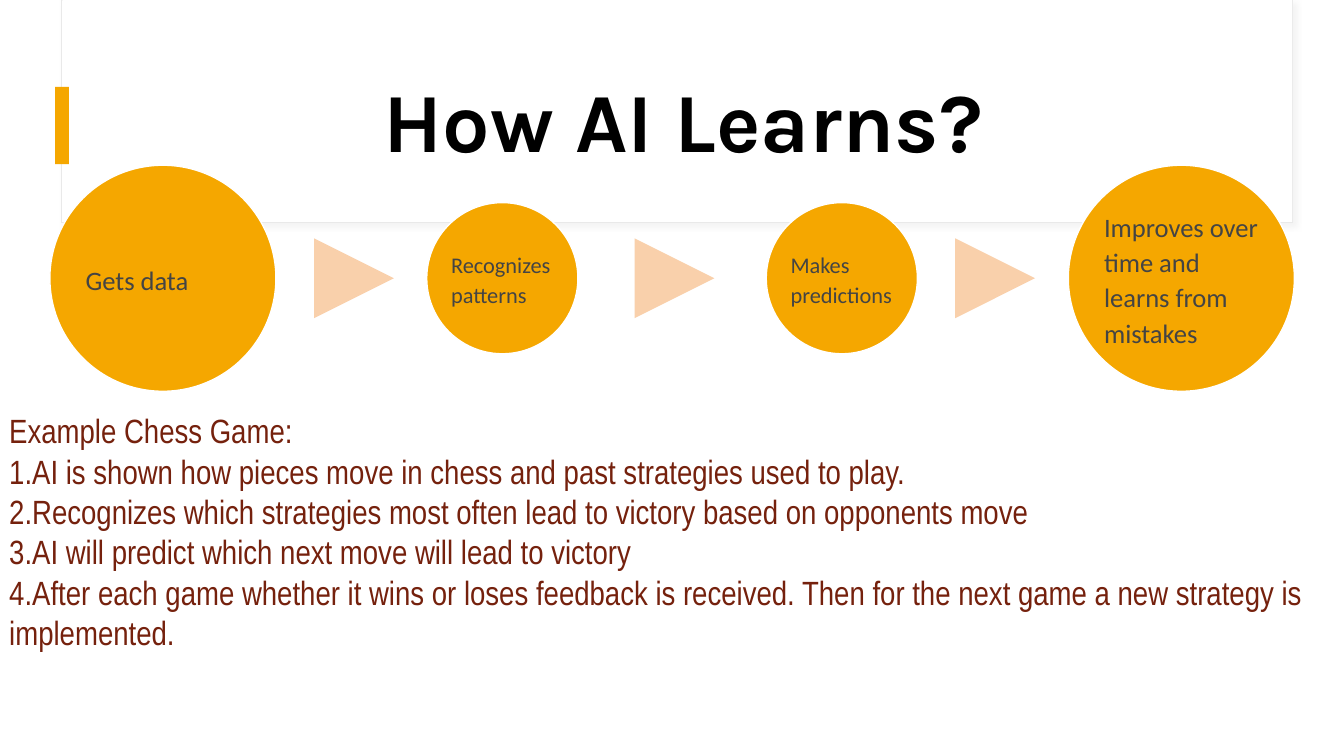
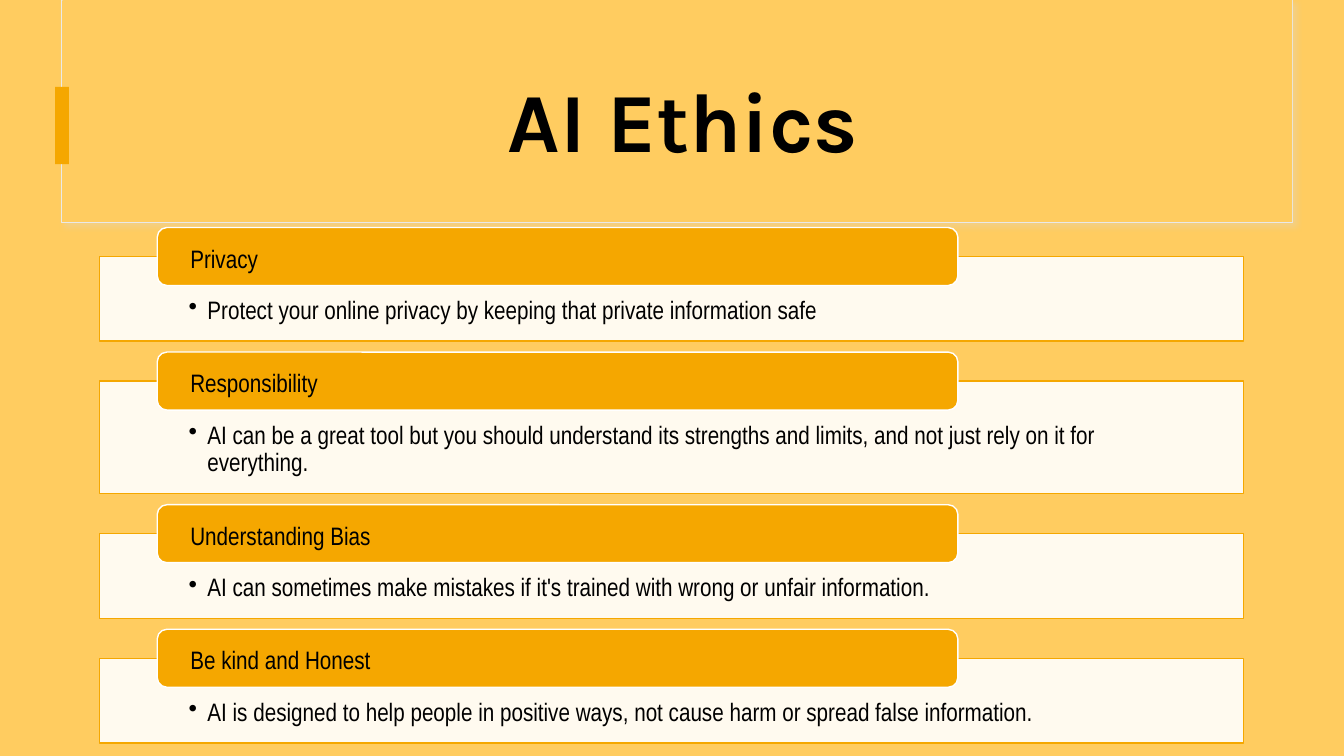
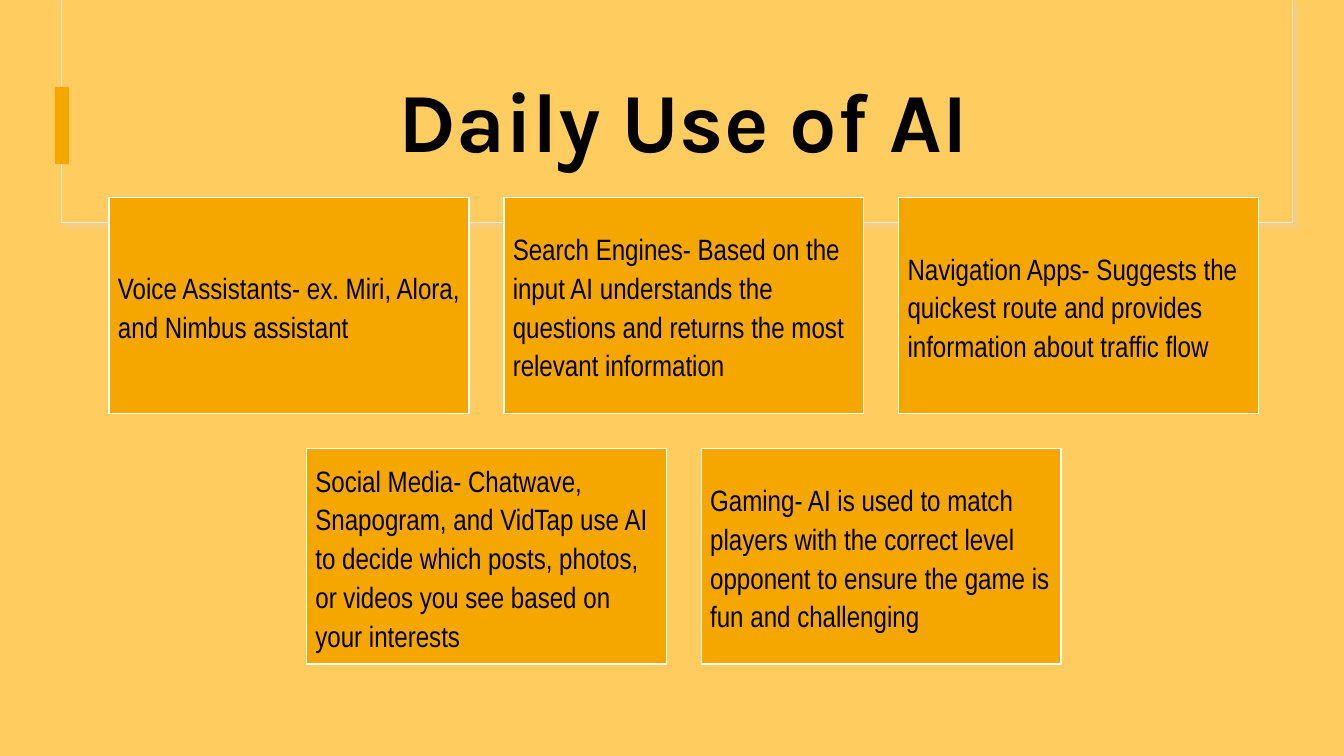
from lxml.etree import SubElement
from pptx import Presentation
from pptx.dml.color import RGBColor
from pptx.enum.shapes import MSO_SHAPE
from pptx.enum.text import MSO_ANCHOR, PP_ALIGN
from pptx.oxml.ns import qn
from pptx.util import Pt

COLORS = {
    "white": "FFFFFF",
    "sand": "FFCC60",
    "amber": "F5A700",
    "peach": "F9D0AB",
    "frame": "E9E9E9",
    "shadow": "D9D9D9",
    "black": "000000",
    "gray": "444444",
    "brown": "75210D",
}
TITLE_FONT, BODY_FONT, CIRCLE_FONT = "Karla", "Arial Narrow", "Calibri"

LEARNING_STEPS = [
    ("Gets data", 161.5, 19),
    ("Recognizes patterns", 108, 16),
    ("Makes predictions", 108, 16),
    ("Improves over time and learns from mistakes", 161.5, 19),
]
CHESS_LINES = [
    "Example Chess Game:",
    "1.AI is shown how pieces move in chess and past strategies used to play.",
    "2.Recognizes which strategies most often lead to victory based on opponents move",
    "3.AI will predict which next move will lead to victory",
    "4.After each game whether it wins or loses feedback is received. "
    "Then for the next game a new strategy is implemented.",
]
ETHICS = [
    ("Privacy", 60.4,
     "Protect your online privacy by keeping that private information safe"),
    ("Responsibility", 80.4,
     "AI can be a great tool but you should understand its strengths and limits, "
     "and not just rely on it for everything."),
    ("Understanding Bias", 60.4,
     "AI can sometimes make mistakes if it's trained with wrong or unfair information."),
    ("Be kind and Honest", 60.4,
     "AI is designed to help people in positive ways, not cause harm or spread "
     "false information."),
]
USE_ROWS = [
    [
        "Voice Assistants- ex. Miri, Alora, and Nimbus assistant",
        "Search Engines- Based on the input AI understands the questions and "
        "returns the most relevant information",
        "Navigation Apps- Suggests the quickest route and provides information "
        "about traffic flow",
    ],
    [
        "Social Media- Chatwave, Snapogram, and VidTap use AI to decide which "
        "posts, photos, or videos you see based on your interests",
        "Gaming- AI is used to match players with the correct level opponent to "
        "ensure the game is fun and challenging",
    ],
]


def color(name):
    return RGBColor.from_string(COLORS[name])


def add_box(slide, kind, box, fill, line=None, line_width=1):
    shape = slide.shapes.add_shape(kind, *map(Pt, box))
    shape.shadow.inherit = False
    shape.fill.solid()
    shape.fill.fore_color.rgb = color(fill)
    if line:
        shape.line.color.rgb = color(line)
        shape.line.width = Pt(line_width)
    else:
        shape.line.fill.background()
    return shape


def write(shape, lines, size, font=BODY_FONT, ink="black", insets=(7.2, 3.6, 7.2, 3.6),
          anchor=MSO_ANCHOR.MIDDLE, spacing=1.1, align=PP_ALIGN.LEFT, bold=False):
    """Fill a shape with uniformly styled paragraphs; insets are left, top, right, bottom."""
    frame = shape.text_frame
    frame.word_wrap = True
    frame.vertical_anchor = anchor
    (frame.margin_left, frame.margin_top,
     frame.margin_right, frame.margin_bottom) = map(Pt, insets)
    for index, text in enumerate(lines):
        paragraph = frame.add_paragraph() if index else frame.paragraphs[0]
        paragraph.text = text
        paragraph.alignment = align
        paragraph.line_spacing = spacing
        paragraph.font.name = font
        paragraph.font.size = Pt(size)
        paragraph.font.bold = bold
        paragraph.font.color.rgb = color(ink)


def add_alpha(color_element, percent):
    SubElement(color_element, qn("a:alpha"), val=str(percent * 1000))


def add_soft_shadow(shape):
    effects = shape._element.spPr.find(qn("a:effectLst"))
    outer = SubElement(effects, qn("a:outerShdw"), blurRad=str(Pt(4)), dist=str(Pt(3)),
                       dir="2700000", algn="tl", rotWithShape="0")
    add_alpha(SubElement(outer, qn("a:srgbClr"), val=COLORS["shadow"]), 30)


def add_bullet(paragraph, indent):
    properties = paragraph._p.get_or_add_pPr()
    properties.set("marL", str(Pt(indent)))
    properties.set("indent", str(-Pt(indent)))
    bullet = SubElement(properties, qn("a:buChar"), char="•")
    default_run = properties.find(qn("a:defRPr"))
    if default_run is not None:
        default_run.addprevious(bullet)


def add_titled_slide(presentation, title, background):
    """Add a slide with the shared title frame and amber marker."""
    slide = presentation.slides.add_slide(presentation.slide_layouts[6])
    slide.background.fill.solid()
    slide.background.fill.fore_color.rgb = color(background)
    frame = add_box(slide, MSO_SHAPE.RECTANGLE, (44, 0, 879, 159), background, "frame", 0.75)
    add_soft_shadow(frame)
    add_box(slide, MSO_SHAPE.RECTANGLE, (44.5, 0, 878.5, 158.5), background)
    add_box(slide, MSO_SHAPE.RECTANGLE, (39.3, 62, 10, 55.2), "amber")
    title_box = slide.shapes.add_textbox(Pt(88), Pt(43), Pt(800), Pt(93))
    write(title_box, [title], 60, TITLE_FONT, spacing=0.9, align=PP_ALIGN.CENTER, bold=True)
    return slide


def add_learning_chain(slide, left, top, width, height):
    """Spread circles over the box, with arrowheads evenly pitched between them."""
    middle = top + height / 2
    first_center = left + LEARNING_STEPS[0][1] / 2
    pitch = (width - LEARNING_STEPS[0][1]) / (len(LEARNING_STEPS) - 1)
    arrow_size, arrow_left, arrow_pitch = 57, 188.7, 229
    for index, (text, diameter, size) in enumerate(LEARNING_STEPS):
        center = first_center + index * pitch
        circle = add_box(slide, MSO_SHAPE.OVAL,
                         (center - diameter / 2, middle - diameter / 2, diameter, diameter),
                         "amber", "white")
        write(circle, [text], size, CIRCLE_FONT, "gray", (size / 10,) * 4)
        if index < len(LEARNING_STEPS) - 1:
            arrow = add_box(slide, MSO_SHAPE.ISOSCELES_TRIANGLE,
                            (left + arrow_left + index * arrow_pitch,
                             middle - arrow_size / 2, arrow_size, arrow_size), "peach")
            arrow.rotation = 90


def add_chess_example(slide, box):
    panel = add_box(slide, MSO_SHAPE.RECTANGLE, box, "white")
    write(panel, CHESS_LINES, 24, ink="brown", anchor=MSO_ANCHOR.TOP, spacing=1.0)


def add_ethics_list(slide, left, top, width):
    """Stack panels downwards, each with a heading tab over its top edge."""
    gap, tab_rise, tab_indent = 28.6, 20.7, 41
    panel_top = top + tab_rise
    for heading, height, text in ETHICS:
        panel = add_box(slide, MSO_SHAPE.RECTANGLE, (left, panel_top, width, height),
                        "white", "amber")
        add_alpha(panel._element.spPr.find(qn("a:solidFill"))[0], 90)
        write(panel, [text], 18, insets=(63.4, 29.5, 63.4, 10),
              anchor=MSO_ANCHOR.TOP, spacing=0.9)
        add_bullet(panel.text_frame.paragraphs[0], 13.5)
        tab = add_box(slide, MSO_SHAPE.ROUNDED_RECTANGLE,
                      (left + tab_indent, panel_top - tab_rise, width * 0.7, 41.4),
                      "amber", "white")
        write(tab, [heading], 18, insets=(21.6, 0, 21.6, 0))
        panel_top += height + gap


def add_use_cards(slide, left, top, width):
    """Lay out rows of equal cards, each row centred in the width."""
    gap = 25
    columns = max(map(len, USE_ROWS))
    card_width = (width - gap * (columns - 1)) / columns
    card_height = card_width * 0.6
    for row, texts in enumerate(USE_ROWS):
        row_left = left + (columns - len(texts)) * (card_width + gap) / 2
        for column, text in enumerate(texts):
            card = add_box(slide, MSO_SHAPE.RECTANGLE,
                           (row_left + column * (card_width + gap),
                            top + row * (card_height + gap), card_width, card_height),
                           "amber", "white")
            write(card, [text], 21, insets=(6.3,) * 4)


def main():
    presentation = Presentation()
    presentation.slide_width, presentation.slide_height = Pt(960), Pt(540)

    learning = add_titled_slide(presentation, "How AI Learns?", "white")
    add_chess_example(learning, (-0.5, 289.5, 960, 170))
    add_learning_chain(learning, 35.6, 118, 889, 161.5)

    ethics = add_titled_slide(presentation, "AI Ethics", "sand")
    add_ethics_list(ethics, 71.3, 162.5, 817)

    daily_use = add_titled_slide(presentation, "Daily Use of AI", "sand")
    add_use_cards(daily_use, 78, 141, 821)

    presentation.save("out.pptx")


if __name__ == "__main__":
    main()
